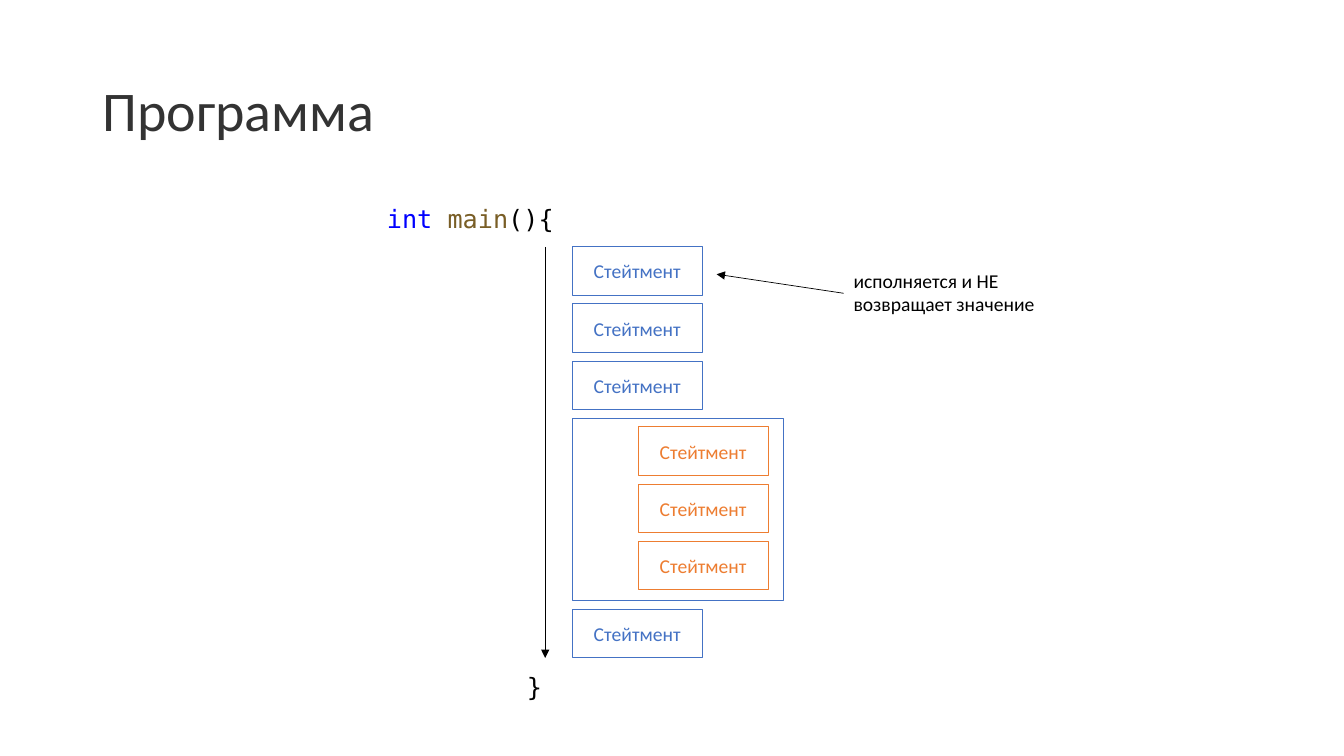
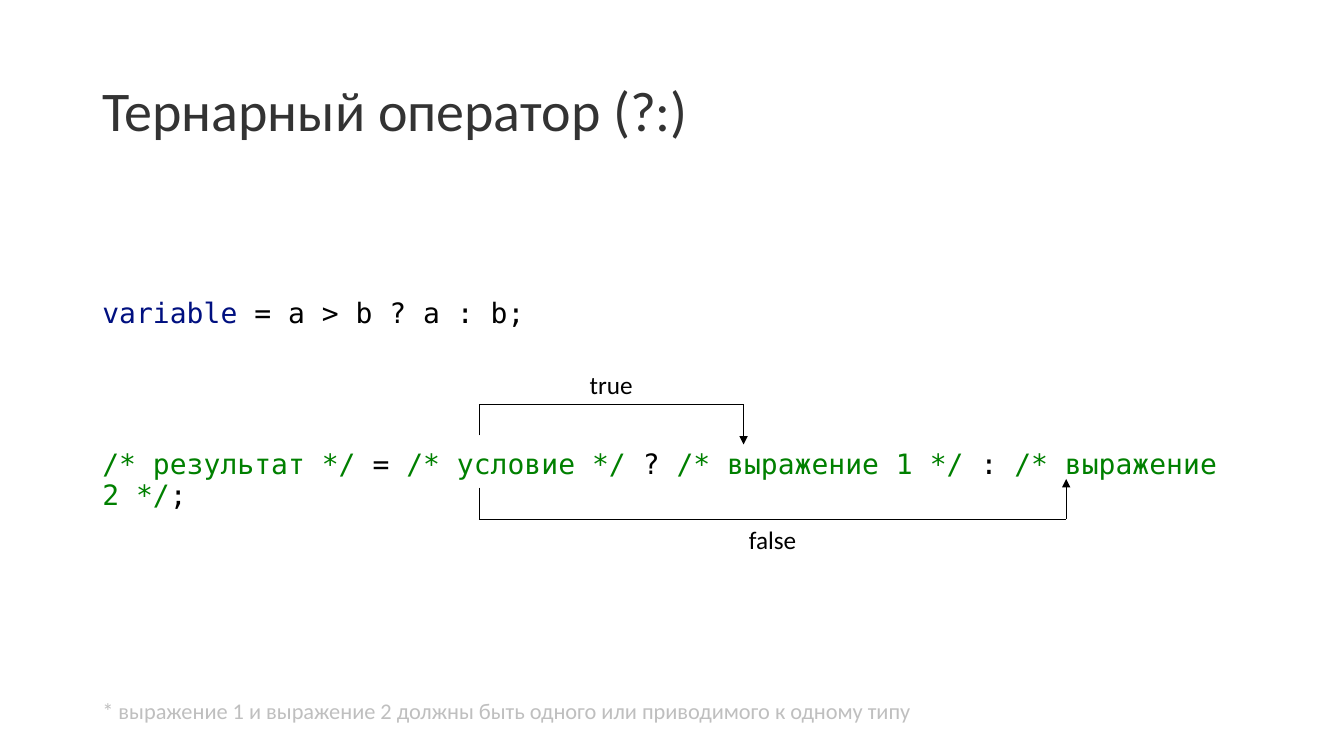
from dataclasses import dataclass

from lxml.etree import SubElement
from pptx import Presentation
from pptx.dml.color import RGBColor
from pptx.enum.shapes import MSO_CONNECTOR as Connector, MSO_SHAPE as Preset
from pptx.enum.text import MSO_ANCHOR as Anchor, MSO_AUTO_SIZE as AutoSize, PP_ALIGN as Align
from pptx.oxml.ns import qn
from pptx.util import Cm, Pt


@dataclass(frozen=True)
class Theme:
    sans: str = "Calibri"
    mono: str = "DejaVu Sans Mono"
    # Colours
    heading: str = "333333"
    black: str = "000000"
    outer: str = "4472C4"
    inner: str = "ED7D31"
    keyword: str = "0000FF"
    function: str = "795E26"
    variable: str = "001080"
    comment: str = "008000"
    muted: str = "BFBFBF"
    # Type sizes and line widths, in points
    title_size: int = 40
    example_size: int = 20
    code_size: int = 18
    footnote_size: int = 16
    note_size: int = 14
    arrow_width: float = 0.5
    border_width: float = 0.75


THEME = Theme()
MARGIN, CONTENT_WIDTH = 2.33, 29.21
LABEL_HEIGHT = 1.02


def apply(target, values):
    for name, value in values.items():
        setattr(target, name, value)


class SlideBuilder:
    """Holds the deck, its style and the slide being drawn; lengths are in cm."""

    def __init__(self, theme):
        self.theme = theme
        self.deck = Presentation()
        apply(self.deck, {"slide_width": Cm(33.87), "slide_height": Cm(19.05)})
        self.page = None

    def new_slide(self, title):
        self.page = self.deck.slides.add_slide(self.deck.slide_layouts[5])
        box = self.page.shapes.title
        places = zip(("left", "top", "width", "height"), (MARGIN, 1.01, CONTENT_WIDTH, 3.68))
        apply(box, {side: Cm(length) for side, length in places})
        self.fill_text(box, [(title, self.theme.heading)], self.theme.title_size,
                       anchor=Anchor.MIDDLE, spacing=0.9)

    def fill_text(self, box, spans, size, font=None, align=Align.LEFT,
                  anchor=Anchor.TOP, spacing=1.0, wrap=True):
        """Fill a box with one paragraph of (text, colour) spans."""
        frame = box.text_frame
        apply(frame, {"word_wrap": wrap, "auto_size": AutoSize.NONE, "vertical_anchor": anchor})
        para = frame.paragraphs[0]
        apply(para, {"alignment": align, "line_spacing": spacing, "space_before": Pt(0)})
        for text, colour in spans:
            span = para.add_run()
            span.text = text
            apply(span.font, {"name": font or self.theme.sans, "size": Pt(size)})
            span.font.color.rgb = RGBColor.from_string(colour)

    def text(self, left, top, width, height, spans, size, **style):
        box = self.page.shapes.add_textbox(Cm(left), Cm(top), Cm(width), Cm(height))
        self.fill_text(box, spans, size, **style)

    def code(self, left, top, width, height, spans, size, **style):
        self.text(left, top, width, height, spans, size, font=self.theme.mono, **style)

    def outline(self, left, top, width, height, colour, label=None):
        box = self.page.shapes.add_shape(Preset.RECTANGLE, Cm(left), Cm(top),
                                         Cm(width), Cm(height))
        box.shadow.inherit = False
        box.fill.background()
        box.line.color.rgb = RGBColor.from_string(colour)
        box.line.width = Pt(self.theme.border_width)
        if label:
            self.fill_text(box, [(label, colour)], self.theme.note_size,
                           align=Align.CENTER, anchor=Anchor.MIDDLE)

    def line(self, start, end, arrow=False):
        connector = self.page.shapes.add_connector(
            Connector.STRAIGHT, *(Cm(length) for length in (*start, *end)))
        connector.line.color.rgb = RGBColor.from_string(self.theme.black)
        connector.line.width = Pt(self.theme.arrow_width)
        properties = connector.element.spPr
        if arrow:
            SubElement(properties.find(qn("a:ln")), qn("a:tailEnd"), type="triangle")
        SubElement(properties, qn("a:effectLst"))

    def branch(self, label, label_top, start, bend, end):
        """Draw a bent arrow with a label centred on its level part."""
        corners = [start, (start[0], bend), (end[0], bend), end]
        for first, second in zip(corners, corners[1:]):
            self.line(first, second, arrow=second == end)
        width = 1.7
        self.text((start[0] + end[0] - width) / 2, label_top, width, LABEL_HEIGHT,
                  [(label, self.theme.black)], self.theme.code_size,
                  align=Align.CENTER, wrap=False)


def program_slide(builder):
    theme = builder.theme
    builder.new_slide("Программа")

    # Statements in order, with a nested block
    left, top, width, height, gap = 14.42, 6.22, 3.28, 1.22, 0.22
    step = height + gap
    block_top, block_height, inner_left = top + 3 * step, 4.6, 16.08
    last_top = block_top + block_height + gap
    builder.outline(left, block_top, 5.33, block_height, theme.outer)
    outer_tops = [top + row * step for row in range(3)] + [last_top]
    inner_tops = [block_top + gap + row * step for row in range(3)]
    for column, tops, colour in ((left, outer_tops, theme.outer),
                                 (inner_left, inner_tops, theme.inner)):
        for row_top in tops:
            builder.outline(column, row_top, width, height, colour, "Стейтмент")

    # Function frame and direction of execution
    builder.line((13.74, top), (13.74, last_top + height), arrow=True)
    builder.code(9.5, 5, 4.95, LABEL_HEIGHT,
                 [("int ", theme.keyword), ("main", theme.function), ("(){", theme.black)],
                 theme.code_size)
    builder.code(13.03, 16.79, 3.28, LABEL_HEIGHT, [("}", theme.black)], theme.code_size)

    # Note on the first statement
    builder.text(21.26, 6.65, 5.16, 1.45,
                 [("исполняется и НЕ возвращает значение", theme.black)], theme.note_size)
    builder.line((21.26, 7.39), (18.06, 6.91), arrow=True)


def ternary_slide(builder):
    theme = builder.theme
    builder.new_slide("Тернарный оператор (?:)")

    # Example and general form
    builder.code(MARGIN, 7.42, CONTENT_WIDTH, 1,
                 [("variable", theme.variable), (" = a > b ? a : b;", theme.black)],
                 theme.example_size, spacing=0.9)
    form = ["/* результат */", " =", " /* условие */", " ?",
            " /* выражение 1 */", " :", " /* выражение 2 */", ";"]
    colours = [theme.comment, theme.black] * 4
    builder.code(MARGIN, 11.23, CONTENT_WIDTH, 1.8, list(zip(form, colours)),
                 theme.example_size, spacing=0.9)

    # Branches from the condition to each expression
    condition = 12.07
    true_bend, false_bend = 10.19, 13.08
    builder.branch("true", true_bend - LABEL_HEIGHT, (condition, 10.97), true_bend, (18.74, 11.2))
    builder.branch("false", false_bend, (condition, 12.29), false_bend, (26.87, 12.07))

    # Footnote
    builder.text(MARGIN, 17.52, CONTENT_WIDTH, 1,
                 [("* выражение 1 и выражение 2 должны быть одного или приводимого к одному типу",
                   theme.muted)], theme.footnote_size, spacing=0.9)


def main():
    builder = SlideBuilder(THEME)
    program_slide(builder)
    ternary_slide(builder)
    builder.deck.save("out.pptx")


if __name__ == "__main__":
    main()
